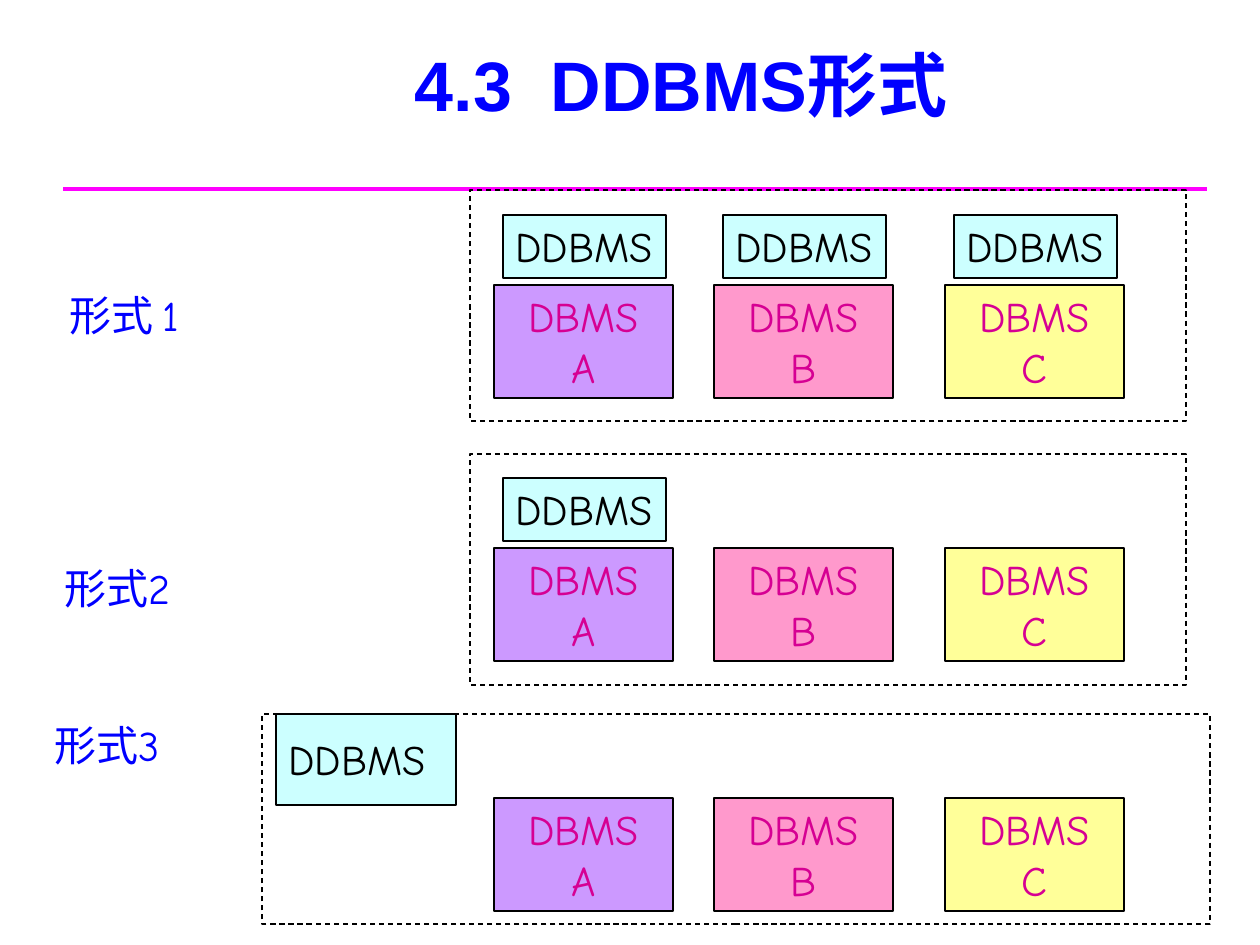
from lxml.etree import SubElement
from pptx import Presentation
from pptx.dml.color import RGBColor
from pptx.enum.dml import MSO_LINE
from pptx.enum.shapes import MSO_CONNECTOR as CONNECTOR, MSO_SHAPE as SHAPE
from pptx.enum.text import MSO_ANCHOR as ANCHOR, MSO_AUTO_SIZE as AUTO_SIZE, PP_ALIGN as ALIGN
from pptx.oxml.ns import qn
from pptx.util import Emu, Pt

# Content: places are left, top, width, height in px
TITLE = "4.3  DDBMS形式"
BODY_FONT = "Comic Neue"
DATABASES = [("A", 494, "CC99FF"), ("B", 714, "FF99CC"), ("C", 945, "FFFF99")]
FORMS = [
    {"label": "形式 1", "label_at": (57, 284, 145, 63), "frame": (470, 190, 716, 231),
     "row_top": 285, "managed": "ABC"},
    {"label": "形式2", "label_at": (52, 557, 155, 63), "frame": (470, 454, 716, 231),
     "row_top": 548, "managed": "A"},
    {"label": "形式3", "label_at": (42, 714, 154, 63), "frame": (262, 714, 948, 210),
     "row_top": 798, "managed": ""},
]
CENTRAL_MANAGER = (276, 714, 180, 91)
DBMS_SIZE = (179, 113)
MANAGER_SIZE = (163, 63)
MANAGER_OFFSET = (9, -70)  # from the corner of the DBMS below


def px(value):
    return Emu(round(value * 914400 / 126))


def place(at):
    return [px(value) for value in at]


def rgb(color):
    return RGBColor.from_string(color)


def set_text(shape, lines, color, align=ALIGN.LEFT, wrap=False, inset=6):
    frame = shape.text_frame
    frame.text = "\n".join(lines)
    frame.word_wrap = wrap
    frame.auto_size = AUTO_SIZE.SHAPE_TO_FIT_TEXT
    frame.vertical_anchor = ANCHOR.TOP
    frame.margin_top = frame.margin_bottom = px(inset)
    for paragraph in frame.paragraphs:
        paragraph.alignment = align
        paragraph.font.name = BODY_FONT
        paragraph.font.size = Pt(24)
        paragraph.font.color.rgb = rgb(color)


def add_box(at, fill=None):
    shape = slide.shapes.add_shape(SHAPE.RECTANGLE, *place(at))
    shape.shadow.inherit = False
    shape.line.color.rgb = rgb("000000")
    shape.line.width = Pt(0.75)
    if fill:
        shape.fill.solid()
        shape.fill.fore_color.rgb = rgb(fill)
    else:
        shape.fill.background()
        shape.line.dash_style = MSO_LINE.DASH
    return shape


def add_manager(at, **text_options):
    set_text(add_box(at, "CCFFFF"), ["DDBMS"], "000000", **text_options)


presentation = Presentation()
presentation.slide_width, presentation.slide_height = px(1260), px(945)
slide = presentation.slides.add_slide(presentation.slide_layouts[5])

# Title and the rule below it
title = slide.shapes.title
title.left, title.top, title.width, title.height = place((294, 21, 774, 126))
title.text_frame.text = TITLE
title.text_frame.vertical_anchor = ANCHOR.MIDDLE
heading = title.text_frame.paragraphs[0]
heading.alignment = ALIGN.CENTER
heading.font.name = "Arial"
heading.font.size = Pt(40)
heading.font.bold = True
heading.font.color.rgb = rgb("0000FF")

rule = slide.shapes.add_connector(CONNECTOR.STRAIGHT, *place((63, 189, 1207, 189)))
rule.line.color.rgb = rgb("FF00FF")
rule.line.width = Pt(2)
SubElement(rule._element.spPr, qn("a:effectLst"))

# One framed row of databases per form
for form in FORMS:
    add_box(form["frame"])
    label = slide.shapes.add_textbox(*place(form["label_at"]))
    set_text(label, [form["label"]], "0000FF")
    top = form["row_top"]
    for name, left, fill in DATABASES:
        database = add_box((left, top, *DBMS_SIZE), fill)
        set_text(database, ["DBMS", name], "D60093", ALIGN.CENTER, wrap=True)
        if name in form["managed"]:
            add_manager((left + MANAGER_OFFSET[0], top + MANAGER_OFFSET[1], *MANAGER_SIZE))

# The single manager of the third form
add_manager(CENTRAL_MANAGER, wrap=True, inset=20)

presentation.save("out.pptx")
